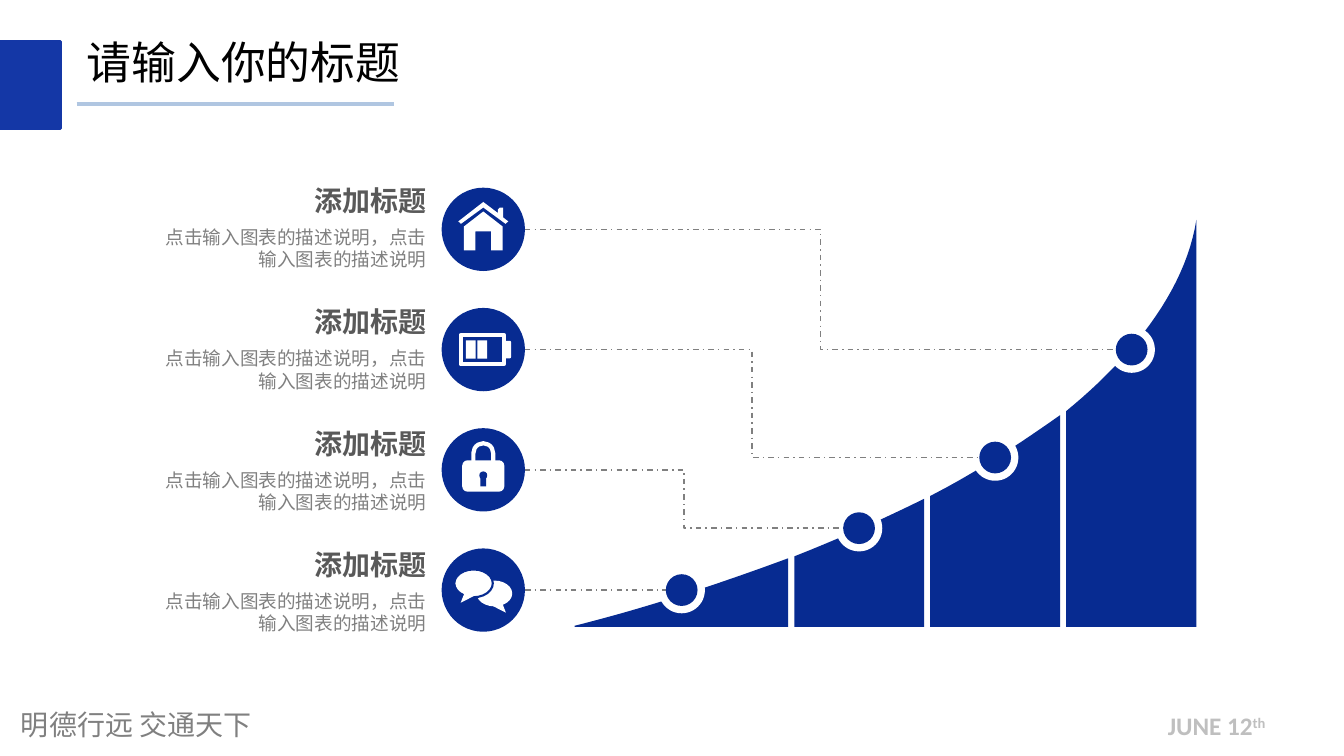
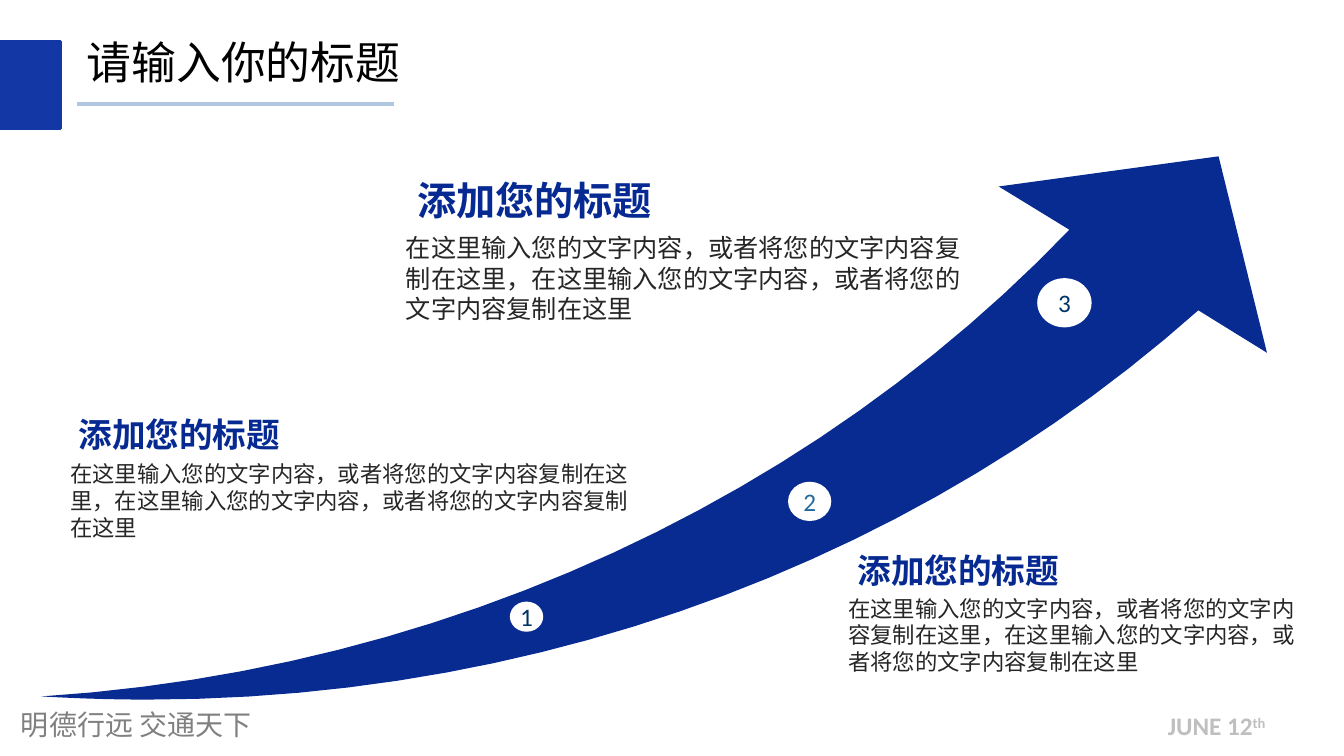
from lxml import etree
from pptx import Presentation
from pptx.dml.color import RGBColor
from pptx.enum.dml import MSO_LINE
from pptx.enum.shapes import MSO_CONNECTOR, MSO_SHAPE
from pptx.enum.text import MSO_ANCHOR, MSO_AUTO_SIZE, PP_ALIGN
from pptx.oxml.ns import qn
from pptx.util import Cm, Pt

RECT, ROUND, OVAL = MSO_SHAPE.RECTANGLE, MSO_SHAPE.ROUNDED_RECTANGLE, MSO_SHAPE.OVAL
LINE, ELBOW = MSO_CONNECTOR.STRAIGHT, MSO_CONNECTOR.ELBOW
LEFT, MID, RIGHT = PP_ALIGN.LEFT, PP_ALIGN.CENTER, PP_ALIGN.RIGHT
TOP, CENTER = MSO_ANCHOR.TOP, MSO_ANCHOR.MIDDLE
DASH, FIXED = MSO_LINE.DASH_DOT, MSO_AUTO_SIZE.NONE

BLUE, BAND, RULE, WHITE = "072B91", "1437A6", "B0C6E1", "FFFFFF"
GRAY, PALE, DARK, INK, HEAD = "808080", "BFBFBF", "595959", "262626", "062A92"
SANS, FOOT, LATIN = "Noto Sans CJK SC", "Noto Sans CJK JP", "Calibri"


def color(text):
    return RGBColor.from_string(text)


def curve(a, b, c, d, count=24):
    """Points along a cubic curve, without its start."""
    for i in range(1, count + 1):
        t = i / count
        s = 1 - t
        yield tuple(s**3 * p + 3 * s * s * t * q + 3 * s * t * t * r + t**3 * e
                    for p, q, r, e in zip(a, b, c, d))


class Deck:
    def __init__(self):
        self.prs = Presentation()
        self.prs.slide_width, self.prs.slide_height = Cm(33.87), Cm(19.05)

    def start(self, title):
        """New slide with the shared title, band, rule and footers."""
        layout = self.prs.slide_layouts[5]
        self.slide = self.prs.slides.add_slide(layout)
        self.shapes = self.slide.shapes
        self.shape(RECT, 0, 1.04, 1.52, 2.21, BAND, BAND, 2)
        box = self.shapes.title
        place = dict(left=Cm(1.93), top=Cm(0.74), width=Cm(9), height=Cm(1.63))
        for key, value in place.items():
            setattr(box, key, value)
        self.label(box, title, 32, "000000")
        self.link(LINE, 1.93, 2.62, 9.93, 2.62, RULE, 2.25)
        self.text(0.28, 17.7, 10, 1.12, "明德行远 交通天下", 20, GRAY, font=FOOT)
        date = self.text(29.18, 17.78, 3.6, 1.02, "JUNE 12", 18, PALE, True, font=LATIN)
        run = self.run(date.text_frame.paragraphs[0], "th", 18, PALE, True, LATIN)
        run.font._element.set("baseline", "30000")

    def run(self, para, text, size, ink, bold, font):
        run = para.add_run()
        run.text = text
        for key, value in dict(size=Pt(size), bold=bold, name=font).items():
            setattr(run.font, key, value)
        run.font.color.rgb = color(ink)
        east = etree.SubElement(run.font._element, qn("a:ea"))
        east.set("typeface", font)
        return run

    def label(self, box, text, size, ink, bold=False, align=LEFT, font=SANS, anchor=TOP):
        frame = box.text_frame
        look = dict(word_wrap=True, auto_size=FIXED, vertical_anchor=anchor)
        for key, value in look.items():
            setattr(frame, key, value)
        para = frame.paragraphs[0]
        para.alignment = align
        para.line_spacing = Pt(round(size * 1.2, 1))
        self.run(para, text, size, ink, bold, font)

    def text(self, x, y, w, h, text, size, ink, bold=False, align=LEFT, font=SANS):
        box = self.shapes.add_textbox(Cm(x), Cm(y), Cm(w), Cm(h))
        self.label(box, text, size, ink, bold, align, font)
        return box

    def paint(self, shape, fill, line=None, width=1):
        shape.shadow.inherit = False
        if fill:
            shape.fill.solid()
            shape.fill.fore_color.rgb = color(fill)
        else:
            shape.fill.background()
        if line:
            shape.line.color.rgb = color(line)
            shape.line.width = Pt(width)
        else:
            shape.line.fill.background()

    def shape(self, kind, x, y, w, h, fill, line=None, width=1, bend=None):
        shape = self.shapes.add_shape(kind, Cm(x), Cm(y), Cm(w), Cm(h))
        self.paint(shape, fill, line, width)
        if bend is not None:
            shape.adjustments[0] = bend
        return shape

    def disc(self, x, y, size, fill):
        return self.shape(OVAL, x - size / 2, y - size / 2, size, size, fill)

    def free(self, points, fill):
        first, *rest = [(Cm(x), Cm(y)) for x, y in points]
        build = self.shapes.build_freeform(*first)
        build.add_line_segments(rest, close=True)
        self.paint(build.convert_to_shape(), fill)

    def link(self, kind, x1, y1, x2, y2, ink, width, dash=None):
        link = self.shapes.add_connector(kind, Cm(x1), Cm(y1), Cm(x2), Cm(y2))
        link.line.color.rgb = color(ink)
        link.line.width = Pt(width)
        link.line.dash_style = dash
        etree.SubElement(link._element.spPr, qn("a:effectLst"))

    def icon(self, x, y, parts):
        """Parts are outlines (lists) or preset shapes, placed from the centre."""
        for part in parts:
            if isinstance(part, list):
                self.free([(x + dx, y + dy) for dx, dy in part], WHITE)
            else:
                kind, dx, dy, *rest = part
                self.shape(kind, x + dx, y + dy, *rest)


# Icons, in cm from the centre of their disc
HOUSE = [
    [(0, -0.45), (0.49, -0.07), (0.49, 0.53), (0.2, 0.53), (0.2, 0.05),
     (-0.2, 0.05), (-0.2, 0.53), (-0.49, 0.53), (-0.49, -0.07)],
    [(0, -0.69), (0.37, -0.41), (0.37, -0.5), (0.42, -0.55), (0.5, -0.55), (0.5, -0.3),
     (0.63, -0.2), (0.56, -0.14), (0, -0.55), (-0.56, -0.14), (-0.63, -0.2)],
]
POWER = [
    (RECT, -0.57, -0.37, 1.09, 0.74, None, WHITE, 3),
    (ROUND, 0.5, -0.22, 0.2, 0.44, WHITE),
    (RECT, -0.44, -0.23, 0.25, 0.46, WHITE),
    (RECT, -0.15, -0.23, 0.25, 0.46, WHITE),
]
LOCK = [
    (ROUND, -0.25, -0.67, 0.5, 0.8, None, WHITE, 3, 0.5),
    (ROUND, -0.53, -0.24, 1.06, 0.79, WHITE),
    (OVAL, -0.1, 0.04, 0.2, 0.2, BLUE),
    (RECT, -0.07, 0.18, 0.14, 0.24, BLUE),
]
CHAT = [
    (OVAL, -0.17, -0.24, 0.9, 0.65, WHITE),
    [(0.2, 0.38), (0.57, 0.57), (0.46, 0.28)],
    (OVAL, -0.73, -0.52, 0.97, 0.7, WHITE, BLUE, 1.5),
    [(-0.46, 0.04), (-0.57, 0.32), (-0.18, 0.12)],
]

# Bars under the rising curve: the cubic top edge of each
BASE = 15.8
BARS = [
    ((14.48, 15.77), (16.28, 15.32), (18.08, 14.73), (19.86, 14.07)),
    ((20.02, 14.02), (21.11, 13.59), (22.2, 13.11), (23.29, 12.57)),
    ((23.44, 12.5), (24.54, 11.94), (25.63, 11.23), (26.72, 10.46)),
    ((26.87, 10.36), (28.45, 9.07), (29.87, 7.37), (30.15, 5.54)),
]
# Icon and the centre of its dot on the curve
ROWS = [(HOUSE, 28.52, 8.81), (POWER, 25.08, 11.53),
        (LOCK, 21.65, 13.31), (CHAT, 17.18, 14.87)]

# Arrow: lower edge, tail, upper edge, tip
NECK, TAIL, END, BACK = (30.2, 7.82), (3.71, 17.63), (1.04, 17.55), (26.95, 5.79)
ARROW = [
    NECK,
    *curve(NECK, (23.37, 13.89), (14.02, 17.63), TAIL),
    *curve(TAIL, (2.82, 17.63), (1.93, 17.6), END),
    *curve(END, (11.35, 16.89), (20.55, 12.47), BACK),
    (25.17, 4.7), (30.71, 3.94), (31.93, 8.89),
]
BADGES = [("1", 12.85, 15.16, 0.84, 0.76, "003366"),
          ("2", 19.86, 12.14, 1.09, 0.99, "24699C"),
          ("3", 26.14, 7.01, 1.37, 1.24, "003366")]
# Heading left, top, size; body left, top, width, size
NOTES = [(1.73, 10.31, 24, 1.52, 11.48, 14.66, 16),
         (10.26, 4.32, 28, 9.98, 5.74, 14.66, 18),
         (21.36, 13.72, 24, 21.13, 14.86, 12.12, 16)]

TITLE = "请输入你的标题"
NOTE = "点击输入图表的描述说明，点击输入图表的描述说明"
BODY = "，".join(["在这里输入您的文字内容，或者将您的文字内容复制在这里"] * 2)


def growth(deck):
    deck.start(TITLE)
    for edge in BARS:
        top = [edge[0], *curve(*edge)]
        deck.free([*top, (edge[3][0], BASE), (edge[0][0], BASE)], BLUE)
    for i, (icon, x, y) in enumerate(ROWS):
        row = 5.78 + 3.03 * i
        # Dot with a white ring, and the dashed link to its icon
        deck.disc(x, y, 1.17, WHITE)
        kind = LINE if icon is CHAT else ELBOW
        deck.link(kind, 13.23, row, x - 0.4, y, GRAY, 1, DASH)
        deck.disc(x, y, 0.8, BLUE)
        deck.disc(12.18, row, 2.1, BLUE)
        deck.icon(12.18, row, icon)
        # Heading and note
        top = 4.5 + 3.06 * i
        deck.text(3.89, top, 7.11, 1.12, "添加标题", 20, DARK, True, RIGHT)
        deck.text(3.89, top + 1.06, 7.11, 1.4, NOTE, 13.3, GRAY, align=RIGHT)


def rise(deck):
    deck.start(TITLE)
    deck.free(ARROW, BLUE)
    for mark, x, y, w, h, ink in BADGES:
        badge = deck.shape(OVAL, x, y, w, h, WHITE)
        for side in ("left", "top", "right", "bottom"):
            setattr(badge.text_frame, "margin_" + side, 0)
        deck.label(badge, mark, 18, ink, align=MID, font=LATIN, anchor=CENTER)
    for x, y, size, left, top, width, small in NOTES:
        deck.text(left, top, width, 2.4, BODY, small, INK)
        deck.text(x, y, 9.7, 1.3, "添加您的标题", size, HEAD, True)


def main():
    deck = Deck()
    growth(deck)
    rise(deck)
    deck.prs.save("out.pptx")


if __name__ == "__main__":
    main()
